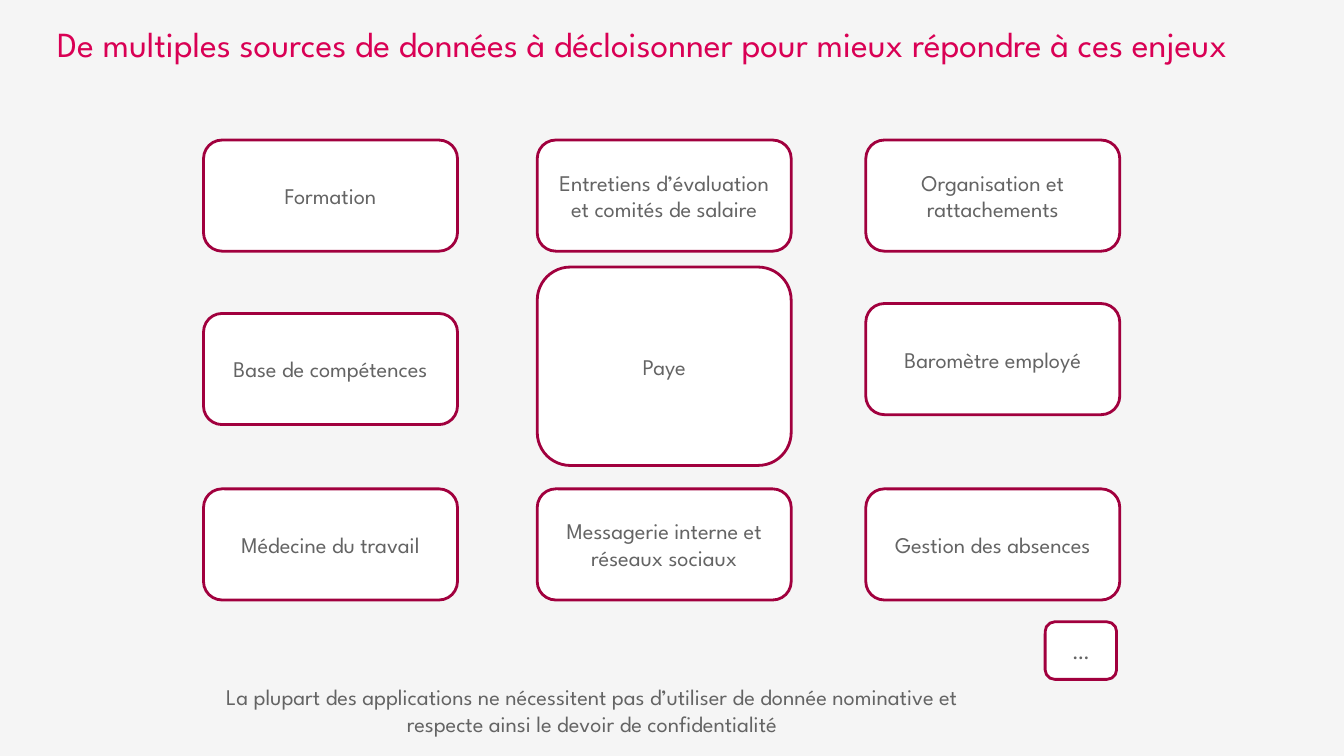
from dataclasses import dataclass

from pptx import Presentation
from pptx.dml.color import RGBColor
from pptx.enum.shapes import MSO_SHAPE
from pptx.enum.text import MSO_ANCHOR, PP_ALIGN
from pptx.slide import Slide
from pptx.text.text import TextFrame
from pptx.util import Cm, Pt


@dataclass(frozen=True)
class Theme:
    font: str = "League Spartan"
    background: RGBColor = RGBColor(0xF5, 0xF5, 0xF5)
    title: RGBColor = RGBColor(0xD9, 0x00, 0x54)
    text: RGBColor = RGBColor(0x64, 0x64, 0x64)
    fill: RGBColor = RGBColor(0xFF, 0xFF, 0xFF)
    border: RGBColor = RGBColor(0xA1, 0x00, 0x3E)
    title_size: float = 25.2
    text_size: float = 16
    border_width: float = 2


@dataclass(frozen=True)
class Source:
    """A data source box, in centimetres."""
    label: str
    left: float
    top: float
    width: float = 6.4
    height: float = 2.8


THEME = Theme()

# Columns and rows of the grid
LEFT, CENTRE, RIGHT = 5.13, 13.54, 21.82
TOP, BOTTOM = 3.53, 12.32

SOURCES = [
    Source("Formation", LEFT, TOP),
    Source("Base de compétences", LEFT, 7.9),
    Source("Médecine du travail", LEFT, BOTTOM),
    Source("Entretiens d’évaluation et comités de salaire", CENTRE, TOP),
    Source("Paye", CENTRE, 6.73, height=5),
    Source("Messagerie interne et réseaux sociaux", CENTRE, BOTTOM),
    Source("Organisation et rattachements", RIGHT, TOP),
    Source("Baromètre employé", RIGHT, 7.65),
    Source("Gestion des absences", RIGHT, BOTTOM),
    Source("…", 26.34, 15.67, 1.8, 1.45),
]


def write(tf: TextFrame, text: str, size: float, color: RGBColor,
          align: PP_ALIGN, anchor: MSO_ANCHOR) -> None:
    tf.word_wrap = True
    tf.vertical_anchor = anchor
    tf.text = text
    p = tf.paragraphs[0]
    p.alignment = align
    font = p.runs[0].font
    font.name, font.size, font.color.rgb = THEME.font, Pt(size), color


def add_source(s: Slide, source: Source) -> None:
    sp = s.shapes.add_shape(MSO_SHAPE.ROUNDED_RECTANGLE, Cm(source.left), Cm(source.top),
                            Cm(source.width), Cm(source.height))
    sp.shadow.inherit = False
    sp.fill.solid()
    sp.fill.fore_color.rgb = THEME.fill
    sp.line.color.rgb = THEME.border
    sp.line.width = Pt(THEME.border_width)
    write(sp.text_frame, source.label, THEME.text_size, THEME.text,
          PP_ALIGN.CENTER, MSO_ANCHOR.MIDDLE)


prs = Presentation()
prs.slide_width, prs.slide_height = Cm(33.87), Cm(19.05)
s = prs.slides.add_slide(prs.slide_layouts[6])
s.background.fill.solid()
s.background.fill.fore_color.rgb = THEME.background

# Title
title = s.shapes.add_textbox(Cm(1.19), Cm(0.33), Cm(31.47), Cm(1.55))
write(title.text_frame,
      "De multiples sources de données à décloisonner pour mieux répondre à ces enjeux",
      THEME.title_size, THEME.title, PP_ALIGN.LEFT, MSO_ANCHOR.MIDDLE)

# Data sources
for source in SOURCES:
    add_source(s, source)

# Confidentiality note
note = s.shapes.add_textbox(Cm(4.52), Cm(17.09), Cm(20.8), Cm(1.63))
write(note.text_frame,
      "La plupart des applications ne nécessitent pas d’utiliser de donnée nominative "
      "et respecte ainsi le devoir de confidentialité",
      THEME.text_size, THEME.text, PP_ALIGN.CENTER, MSO_ANCHOR.TOP)

prs.save("out.pptx")
